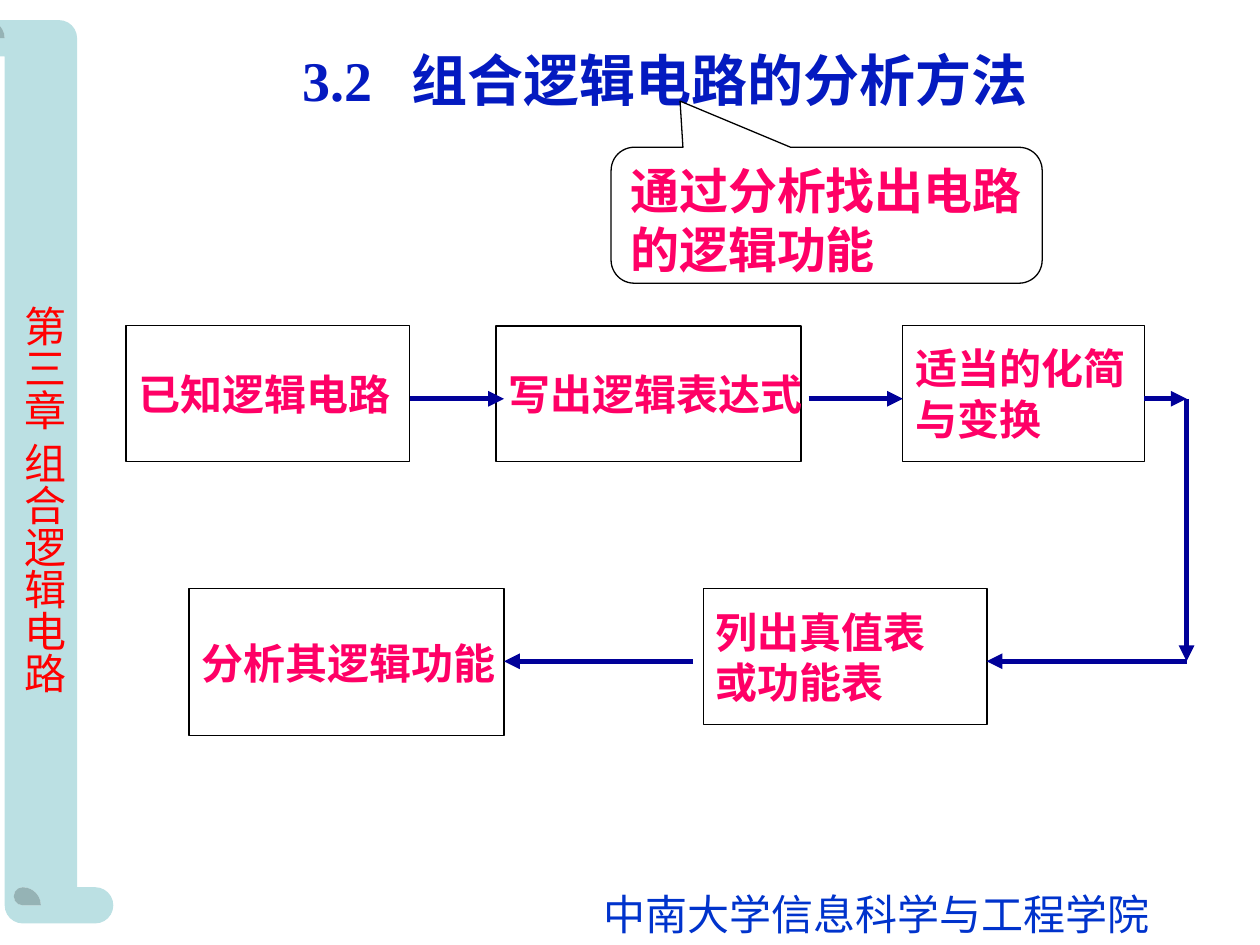
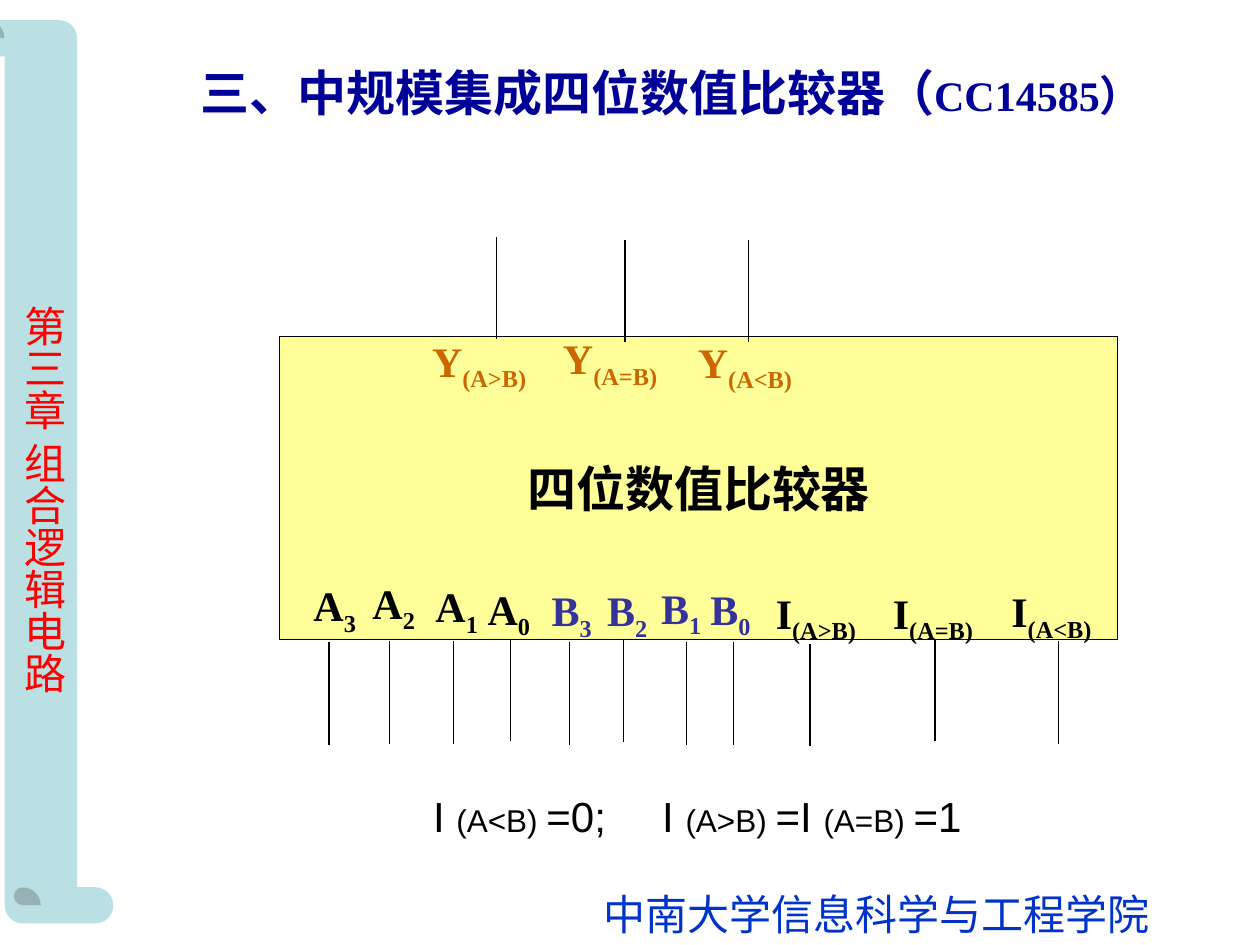
import dataclasses
import typing

import pptx
import pptx.dml.color
import pptx.enum.shapes
import pptx.enum.text
import pptx.oxml.ns
import pptx.util
from lxml import etree

Cm = pptx.util.Cm
Kind = pptx.enum.shapes.MSO_SHAPE
Anchor = pptx.enum.text.MSO_ANCHOR
Align = pptx.enum.text.PP_ALIGN
Fit = pptx.enum.text.MSO_AUTO_SIZE
qn = pptx.oxml.ns.qn


@dataclasses.dataclass(frozen=True)
class Theme:
    latin: str = "Times New Roman"
    asian: str = "Noto Sans CJK SC"
    plain: str = "Arial"
    scroll: str = "BBE0E3"
    side: str = "FF0000"
    foot: str = "0033CC"
    head: str = "041AC0"
    navy: str = "000099"
    pink: str = "FF0066"
    black: str = "000000"
    white: str = "FFFFFF"
    chip: str = "FFFF99"
    blue: str = "333399"
    brown: str = "CC6600"
    huge: float = 32
    large: float = 28
    text: float = 24
    small: float = 18
    thin: float = 0.75
    thick: float = 3


THEME = Theme()


class Box(typing.NamedTuple):
    left: float
    top: float
    width: float
    height: float


class Step(typing.NamedTuple):
    text: str
    box: Box


class Link(typing.NamedTuple):
    x1: float
    y1: float
    x2: float
    y2: float


class Pin(typing.NamedTuple):
    base: str
    sub: str
    hue: str
    left: float
    top: float
    stem: float
    start: float


STEPS = [
    Step("已知逻辑电路", Box(2.54, 6.56, 5.72, 2.74)),
    Step("列出真值表\n或功能表", Box(14.18, 11.87, 5.72, 2.74)),
    Step("适当的化简\n与变换", Box(18.2, 6.56, 4.88, 2.74)),
    Step("写出逻辑表达式", Box(10, 6.57, 6.15, 2.74)),
    Step("分析其逻辑功能", Box(3.81, 11.87, 6.35, 2.96)),
]

UPPER, LOWER, TURN = 8.04, 13.33, 23.92
LINKS = [
    Link(8.26, UPPER, 10.16, UPPER),
    Link(16.3, UPPER, 18.2, UPPER),
    Link(13.97, LOWER, 10.16, LOWER),
    Link(TURN, LOWER, 19.89, LOWER),
    Link(23.07, UPPER, TURN, UPPER),
    Link(TURN, UPPER, TURN, LOWER),
]

STEM = 2.06
PINS = [
    Pin("A", "3", THEME.black, 6.07, 11.56, 6.63, 12.95),
    Pin("A", "2", THEME.black, 7.26, 11.51, 7.85, 12.93),
    Pin("A", "1", THEME.black, 8.53, 11.58, 9.14, 12.93),
    Pin("A", "0", THEME.black, 9.58, 11.63, 10.29, 12.88),
    Pin("B", "3", THEME.blue, 10.87, 11.66, 11.48, 12.95),
    Pin("B", "2", THEME.blue, 11.99, 11.66, 12.57, 12.9),
    Pin("B", "1", THEME.blue, 13.08, 11.61, 13.84, 12.95),
    Pin("B", "0", THEME.blue, 14.07, 11.63, 14.78, 12.95),
    Pin("I", "(A>B)", THEME.black, 15.39, 11.71, 16.33, 12.98),
    Pin("I", "(A=B)", THEME.black, 17.75, 11.71, 18.85, 12.88),
    Pin("I", "(A<B)", THEME.black, 20.14, 11.68, 21.34, 12.93),
    Pin("Y", "(A>B)", THEME.brown, 8.46, 6.63, 10.01, 4.78),
    Pin("Y", "(A=B)", THEME.brown, 11.1, 6.58, 12.6, 4.83),
    Pin("Y", "(A<B)", THEME.brown, 13.82, 6.65, 15.09, 4.83),
]


def paint(hue: str) -> pptx.dml.color.RGBColor:
    return pptx.dml.color.RGBColor.from_string(hue)


def place(box: Box) -> list[int]:
    return [Cm(side) for side in box]


def write(shape, text: str, *, size: float = THEME.text, hue: str = THEME.black,
          font: str = THEME.latin, bold: bool = False, sub: bool = False,
          align: Align = Align.LEFT) -> None:
    frame = shape.text_frame
    for count, line in enumerate(text.split("\n")):
        para = frame.add_paragraph() if count else frame.paragraphs[-1]
        para.alignment = align
        run = para.add_run()
        run.text = line
        run.font.name = font
        run.font.size = pptx.util.Pt(size)
        run.font.bold = bold
        run.font.color.rgb = paint(hue)
        props = run._r.get_or_add_rPr()
        etree.SubElement(props, qn("a:ea"), typeface=THEME.asian)
        if sub:
            props.set("baseline", "-25000")


def set_tab(shape, stop: float) -> None:
    props = shape.text_frame.paragraphs[0]._p.get_or_add_pPr()
    tabs = etree.SubElement(props, qn("a:tabLst"))
    etree.SubElement(tabs, qn("a:tab"), pos=str(Cm(stop)), algn="l")


def frame_up(shape, *, wrap: bool = True, anchor: Anchor = Anchor.TOP,
             fit: Fit = Fit.SHAPE_TO_FIT_TEXT) -> None:
    frame = shape.text_frame
    frame.word_wrap = wrap
    frame.vertical_anchor = anchor
    frame.auto_size = fit


def add_text(slide, box: Box, wrap: bool = True):
    shape = slide.shapes.add_textbox(*place(box))
    frame_up(shape, wrap=wrap)
    return shape


def add_form(slide, kind: Kind, box: Box, fill: str, edge: bool = True):
    shape = slide.shapes.add_shape(kind, *place(box))
    shape.shadow.inherit = False
    shape.fill.solid()
    shape.fill.fore_color.rgb = paint(fill)
    if edge:
        shape.line.color.rgb = paint(THEME.black)
        shape.line.width = pptx.util.Pt(THEME.thin)
    else:
        shape.line.fill.background()
    return shape


def add_line(slide, link: Link, hue: str, width: float, arrow: bool = False) -> None:
    line = slide.shapes.add_connector(
        pptx.enum.shapes.MSO_CONNECTOR.STRAIGHT, *[Cm(end) for end in link])
    line.line.color.rgb = paint(hue)
    line.line.width = pptx.util.Pt(width)
    props = line.element.spPr
    if arrow:
        etree.SubElement(props.find(qn("a:ln")), qn("a:tailEnd"), type="triangle")
    etree.SubElement(props, qn("a:effectLst"))


def add_slide(deck, box: Box):
    slide = deck.slides.add_slide(deck.slide_layouts[5])
    title = slide.shapes.title
    title.left, title.top, title.width, title.height = place(box)
    frame_up(title)
    return slide, title


def dress(deck, slide) -> None:
    scroll = add_form(slide, Kind.HORIZONTAL_SCROLL, Box(-8.28, 8.05, 18.21, 2.92),
                      THEME.scroll, edge=False)
    scroll.rotation = 270
    scroll.adjustments[0] = 0.25
    side = add_text(slide, Box(0, 5.92, 1.52, 8.31), wrap=False)
    side.element.txBody.bodyPr.set("vert", "eaVert")
    write(side, "第三章 组合逻辑电路", hue=THEME.side, font=THEME.asian)
    foot = add_text(slide, Box(11.91, 17.78, 11.51, 1.27), wrap=False)
    write(foot, "中南大学信息科学与工程学院", hue=THEME.foot)
    for mark, shape in enumerate((scroll, side, foot), 20):
        shape.element.nvSpPr.cNvPr.set("id", str(mark))
        deck.slide_master.shapes.element.append(shape.element)


def draw_flow(deck) -> None:
    slide, title = add_slide(deck, Box(5.84, 0.79, 16.76, 1.6))
    dress(deck, slide)
    set_tab(title, 2.2)
    write(title, "3.2\t组合逻辑电路的分析方法", size=THEME.huge, hue=THEME.head, bold=True)
    note = add_form(slide, Kind.ROUNDED_RECTANGULAR_CALLOUT,
                    Box(12.32, 2.97, 8.69, 2.74), THEME.white)
    for count, value in enumerate((-0.34, -0.84, 0.17)):
        note.adjustments[count] = value
    frame_up(note, fit=Fit.NONE)
    write(note, "通过分析找出电路的逻辑功能", size=THEME.large, hue=THEME.pink, bold=True)
    for step in STEPS:
        shape = add_form(slide, Kind.RECTANGLE, step.box, THEME.white)
        frame_up(shape, wrap=False, anchor=Anchor.MIDDLE, fit=Fit.NONE)
        write(shape, step.text, hue=THEME.pink, bold=True)
    for link in LINKS:
        add_line(slide, link, THEME.navy, THEME.thick, arrow=True)


def draw_chip(deck) -> None:
    slide, title = add_slide(deck, Box(3.78, 1.14, 20.78, 1.45))
    write(title, "三、中规模集成四位数值比较器（", size=THEME.large, hue=THEME.navy, bold=True)
    write(title, "CC14585）", hue=THEME.navy, bold=True)
    chip = add_form(slide, Kind.RECTANGLE, Box(5.64, 6.78, 16.89, 6.12), THEME.chip)
    frame_up(chip, wrap=False, anchor=Anchor.MIDDLE, fit=Fit.NONE)
    write(chip, "四位数值比较器", size=THEME.large, bold=True, align=Align.CENTER)
    for pin in PINS:
        add_line(slide, Link(pin.stem, pin.start, pin.stem, pin.start + STEM),
                 THEME.black, THEME.thin)
        width = 1.75 if len(pin.sub) == 1 else 3.23
        label = add_text(slide, Box(pin.left, pin.top, width, 1.27))
        write(label, pin.base, hue=pin.hue, bold=True)
        write(label, pin.sub, hue=pin.hue, bold=True, sub=True)
    rule = add_text(slide, Box(8.48, 15.82, 14.86, 1.27))
    set_tab(rule, 4.62)
    for part in ("I ", "(A<B) ", "=0;\tI ", "(A>B) ", "=I ", "(A=B) ", "=1"):
        size = THEME.small if part.startswith("(") else THEME.text
        write(rule, part, size=size, font=THEME.plain)


def main() -> None:
    deck = pptx.Presentation()
    deck.slide_width, deck.slide_height = Cm(25.4), Cm(19.05)
    draw_flow(deck)
    draw_chip(deck)
    deck.save("out.pptx")


if __name__ == "__main__":
    main()
